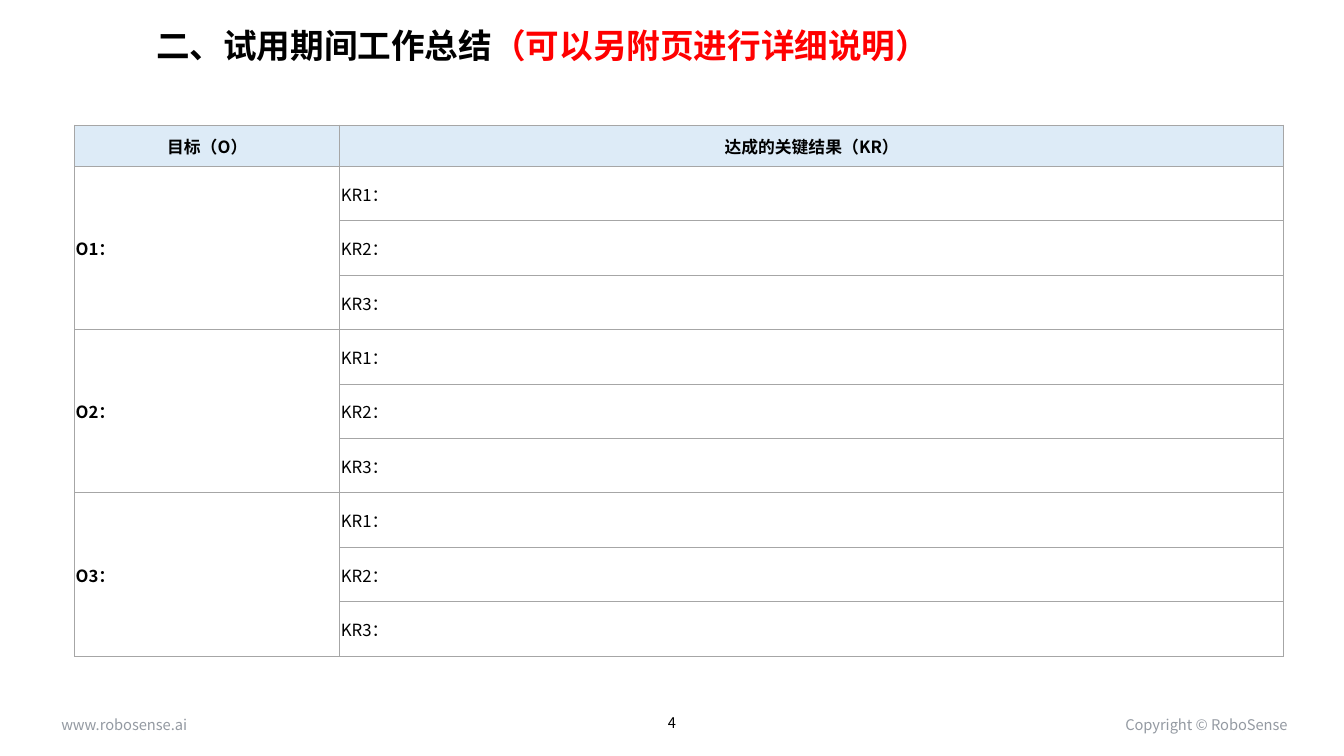
import pptx
import pptx.util
import pptx.dml.color
import pptx.enum.text
import pptx.oxml.ns
import lxml.etree

PX = 9144  # EMU in one px, 100 px to the inch
FONT = "Noto Sans CJK SC"
RGB = pptx.dml.color.RGBColor
BLACK = RGB(0x00, 0x00, 0x00)
RED = RGB(0xFF, 0x00, 0x00)
GREY = RGB(0x94, 0x9A, 0xA2)
LINE = RGB(0xA6, 0xA6, 0xA6)
BLUE = RGB(0xDD, 0xEB, 0xF7)
ALIGN = pptx.enum.text.PP_ALIGN
MIDDLE = pptx.enum.text.MSO_ANCHOR.MIDDLE
FIT = pptx.enum.text.MSO_AUTO_SIZE.SHAPE_TO_FIT_TEXT


def px(num):
    return pptx.util.Emu(num * PX)


def add_node(parent, tag, **attrs):
    return lxml.etree.SubElement(parent, pptx.oxml.ns.qn(tag), attrs)


def put(item, values):
    for name, value in values.items():
        setattr(item, name, value)


def add_run(para, text, size, color=BLACK, bold=False):
    run = para.add_run()
    run.text = text
    put(run.font, {"size": pptx.util.Pt(size), "name": FONT, "bold": bold})
    run.font.color.rgb = color
    add_node(run.font._element, "a:ea", typeface=FONT)


def add_label(slide, box, frame, para, runs):
    label = slide.shapes.add_textbox(*map(px, box))
    put(label.text_frame, frame)
    first = label.text_frame.paragraphs[0]
    put(first, para)
    for run in runs:
        add_run(first, *run)


def add_border(cell):
    props = cell._tc.get_or_add_tcPr()
    for side in ("a:lnL", "a:lnR", "a:lnT", "a:lnB"):
        line = add_node(props, side, w=str(pptx.util.Pt(0.5)))
        fill = add_node(line, "a:solidFill")
        add_node(fill, "a:srgbClr", val=str(LINE))


def fill_cell(cell, text, align=ALIGN.LEFT, bold=False):
    put(cell, {"margin_left": px(1), "margin_right": px(1),
               "margin_top": px(1), "margin_bottom": 0,
               "vertical_anchor": MIDDLE})
    para = cell.text_frame.paragraphs[0]
    para.alignment = align
    add_run(para, text, 12, bold=bold)


def add_goals(slide, goals, keys):
    count = 1 + goals * keys
    frame = slide.shapes.add_table(count, 2, px(74), px(124),
                                   px(1199), px(41 + 54 * goals * keys))
    table = frame.table
    put(table, {"first_row": False, "horz_banding": False})
    for col, width in zip(table.columns, (263, 936)):
        col.width = px(width)
    for num, row in enumerate(table.rows):
        row.height = px(54 if num else 41)
        for cell in row.cells:
            add_border(cell)
            if num:
                cell.fill.background()
            else:
                cell.fill.solid()
                cell.fill.fore_color.rgb = BLUE

    # Header row
    for col, text in enumerate(("目标（O）", "达成的关键结果（KR）")):
        fill_cell(table.cell(0, col), text, ALIGN.CENTER, True)

    # One merged goal beside its key results
    for goal in range(goals):
        top = 1 + goal * keys
        table.cell(top, 0).merge(table.cell(top + keys - 1, 0))
        fill_cell(table.cell(top, 0), f"O{goal + 1}：", bold=True)
        for key in range(keys):
            fill_cell(table.cell(top + key, 1), f"KR{key + 1}：")


def main():
    deck = pptx.Presentation()
    put(deck, {"slide_width": px(1333), "slide_height": px(750)})
    slide = deck.slides.add_slide(deck.slide_layouts[6])

    # Footer
    foot = {"word_wrap": False, "auto_size": FIT}
    add_label(slide, (51, 705, 147, 28), foot, {"alignment": ALIGN.LEFT},
              [("www.robosense.ai", 10.5, GREY)])
    add_label(slide, (1088, 705, 199, 28), foot, {"alignment": ALIGN.RIGHT},
              [("Copyright © RoboSense", 10.5, GREY)])

    # Title
    body = {"word_wrap": True, "vertical_anchor": MIDDLE}
    add_label(slide, (145, 12, 1128, 70), body, {"line_spacing": 0.9},
              [("二、试用期间工作总结", 24, BLACK, True),
               ("（可以另附页进行详细说明）", 24, RED, True)])

    # Goals and key results
    add_goals(slide, 3, 3)

    # Page number
    add_label(slide, (524, 695, 285, 43), body, {"alignment": ALIGN.CENTER},
              [("4", 10.5)])

    deck.save("out.pptx")


if __name__ == "__main__":
    main()
